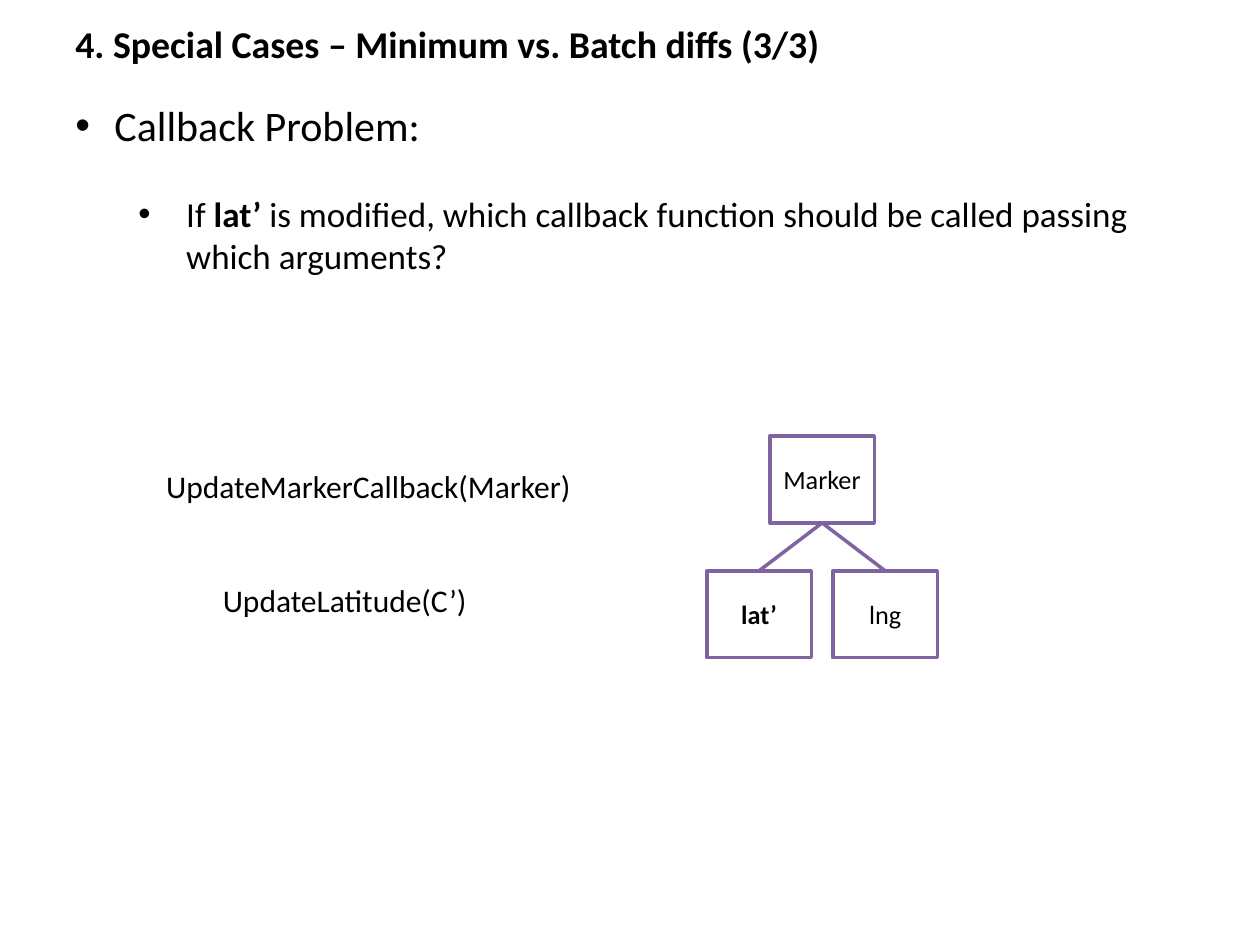
from dataclasses import dataclass

from lxml.etree import SubElement
from pptx import Presentation
from pptx.dml.color import RGBColor
from pptx.enum.shapes import MSO_CONNECTOR, MSO_SHAPE
from pptx.enum.text import MSO_ANCHOR, PP_ALIGN
from pptx.oxml.ns import qn
from pptx.shapes.autoshape import Shape
from pptx.slide import Slide
from pptx.text.text import _Paragraph
from pptx.util import Inches, Pt

BLACK = RGBColor(0x00, 0x00, 0x00)
WHITE = RGBColor(0xFF, 0xFF, 0xFF)
PURPLE = RGBColor(0x80, 0x64, 0xA2)
FONT = "Calibri"
NODE_WIDTH, NODE_HEIGHT = 0.83, 0.69
LINE_WIDTH = Pt(2)


@dataclass(frozen=True)
class Label:
    text: str
    left: float
    top: float
    width: float
    height: float
    size: float
    bold: bool = False
    wrap: bool = False
    anchor: MSO_ANCHOR = MSO_ANCHOR.TOP


@dataclass(frozen=True)
class Node:
    text: str
    left: float
    top: float
    bold: bool = False


@dataclass(frozen=True)
class Phrase:
    text: str
    bold: bool = False


@dataclass(frozen=True)
class Bullet:
    phrases: tuple[Phrase, ...]
    size: float
    margin: float
    hanging: float
    level: int = 0
    space_before: float = 0


TITLE = Label("4. Special Cases – Minimum vs. Batch diffs (3/3)",
              0.5, 0.13, 9, 0.43, 21.6, True, True, MSO_ANCHOR.MIDDLE)
CALLBACKS = (
    Label("UpdateMarkerCallback(Marker)", 1.22, 3.66, 3.47, 0.4, 18),
    Label("UpdateLatitude(C’)", 1.67, 4.56, 2.23, 0.4, 18),
)
BULLETS = (
    Bullet((Phrase("Callback Problem:"),), 24, 0.31, 0.31),
    Bullet((Phrase("If "), Phrase("lat’", True),
            Phrase(" is modified, which callback function should be called "
                   "passing which arguments?")),
           20, 0.88, 0.38, level=1, space_before=24.4),
)
MARKER = Node("Marker", 6.11, 3.46)
COORDINATES = (Node("lat’", 5.61, 4.53, True), Node("lng", 6.61, 4.53))


def format_runs(paragraph: _Paragraph, size: float, bold: bool = False) -> None:
    for run in paragraph.runs:
        run.font.name = FONT
        run.font.size = Pt(size)
        run.font.bold = bold
        run.font.color.rgb = BLACK


def add_label(slide: Slide, label: Label) -> None:
    frame = slide.shapes.add_textbox(
        Inches(label.left), Inches(label.top),
        Inches(label.width), Inches(label.height)).text_frame
    frame.word_wrap = label.wrap
    frame.vertical_anchor = label.anchor
    frame.text = label.text
    format_runs(frame.paragraphs[0], label.size, label.bold)


def write_bullet(paragraph: _Paragraph, bullet: Bullet) -> None:
    paragraph.level = bullet.level
    paragraph.space_before = Pt(bullet.space_before)
    for phrase in bullet.phrases:
        paragraph.add_run().text = phrase.text
    format_runs(paragraph, bullet.size)
    for run, phrase in zip(paragraph.runs, bullet.phrases):
        run.font.bold = phrase.bold
    properties = paragraph._p.get_or_add_pPr()
    properties.set("marL", str(Inches(bullet.margin)))
    properties.set("indent", str(-Inches(bullet.hanging)))
    SubElement(properties, qn("a:buFont")).set("typeface", "Arial")
    SubElement(properties, qn("a:buChar")).set("char", "•")


def add_bullets(slide: Slide, bullets: tuple[Bullet, ...]) -> None:
    frame = slide.shapes.add_textbox(
        Inches(0.5), Inches(0.74), Inches(9), Inches(1.51)).text_frame
    frame.word_wrap = True
    for index, bullet in enumerate(bullets):
        paragraph = frame.add_paragraph() if index else frame.paragraphs[0]
        write_bullet(paragraph, bullet)


def add_node(slide: Slide, node: Node) -> Shape:
    box = slide.shapes.add_shape(
        MSO_SHAPE.RECTANGLE, Inches(node.left), Inches(node.top),
        Inches(NODE_WIDTH), Inches(NODE_HEIGHT))
    box.shadow.inherit = False
    box.fill.solid()
    box.fill.fore_color.rgb = WHITE
    box.line.color.rgb = PURPLE
    box.line.width = LINE_WIDTH
    frame = box.text_frame
    frame.vertical_anchor = MSO_ANCHOR.MIDDLE
    frame.text = node.text
    frame.paragraphs[0].alignment = PP_ALIGN.CENTER
    format_runs(frame.paragraphs[0], 15, node.bold)
    return box


def add_branch(slide: Slide, child: Shape, parent: Shape) -> None:
    branch = slide.shapes.add_connector(MSO_CONNECTOR.STRAIGHT, 0, 0, 0, 0)
    branch.begin_connect(child, 0)
    branch.end_connect(parent, 2)
    branch.line.color.rgb = PURPLE
    branch.line.width = LINE_WIDTH
    SubElement(branch._element.spPr, qn("a:effectLst"))


def main() -> None:
    presentation = Presentation()
    presentation.slide_width = Inches(10)
    presentation.slide_height = Inches(7.5)
    slide = presentation.slides.add_slide(presentation.slide_layouts[6])
    add_label(slide, TITLE)
    add_bullets(slide, BULLETS)
    for callback in CALLBACKS:
        add_label(slide, callback)
    marker = add_node(slide, MARKER)
    for coordinate in COORDINATES:
        add_branch(slide, add_node(slide, coordinate), marker)
    presentation.save("out.pptx")


if __name__ == "__main__":
    main()
